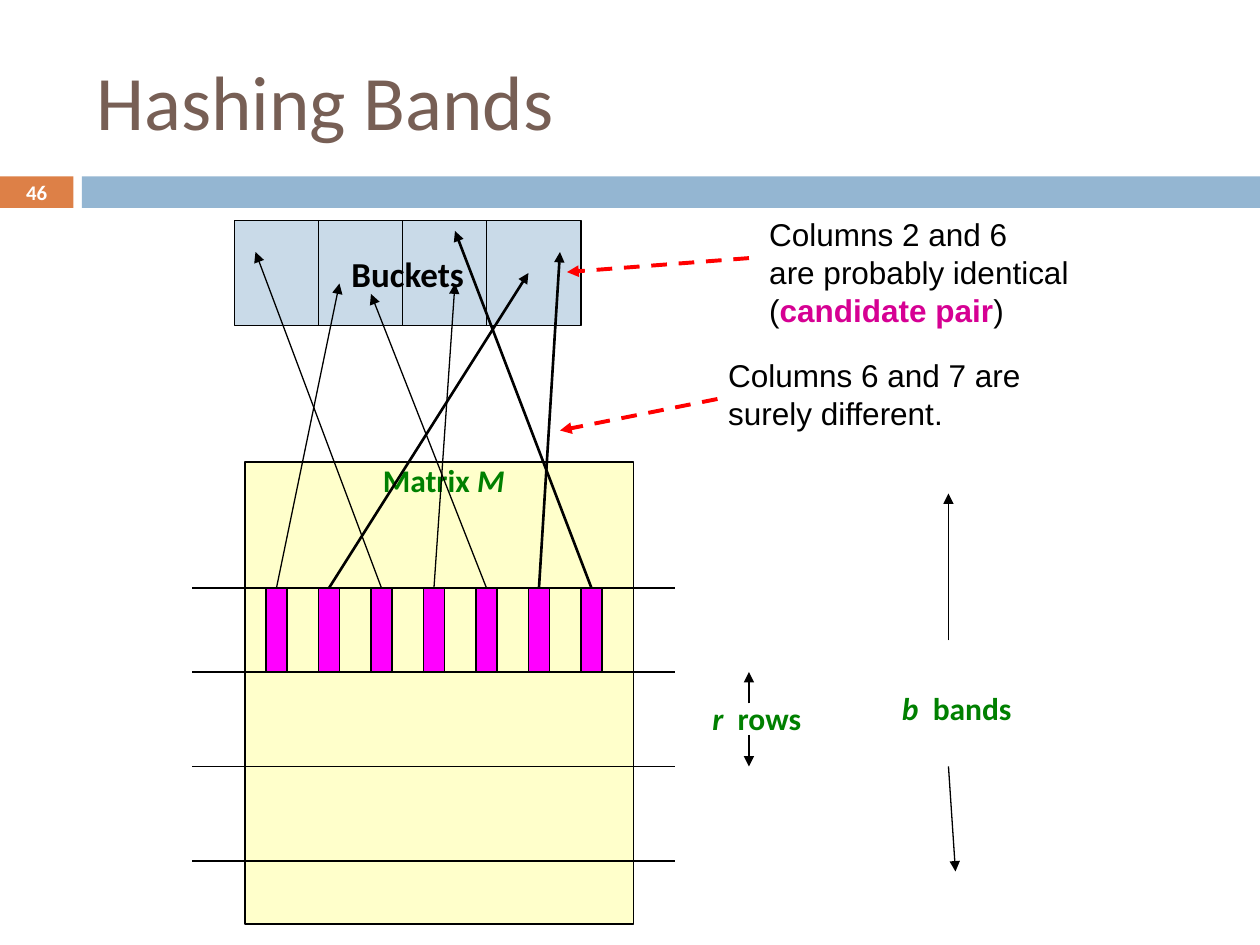
from lxml.etree import SubElement
from pptx import Presentation
from pptx.dml.color import RGBColor
from pptx.enum.dml import MSO_LINE
from pptx.enum.shapes import MSO_CONNECTOR, MSO_SHAPE
from pptx.enum.text import MSO_ANCHOR as Anchor, PP_ALIGN as Align
from pptx.oxml.ns import qn
from pptx.util import Pt

BLACK = RGBColor(0x00, 0x00, 0x00)
WHITE = RGBColor(0xFF, 0xFF, 0xFF)
BROWN = RGBColor(0x77, 0x5F, 0x55)
ORANGE = RGBColor(0xDD, 0x80, 0x47)
BLUE = RGBColor(0x94, 0xB6, 0xD2)
YELLOW = RGBColor(0xFF, 0xFF, 0x99)
MAGENTA = RGBColor(0xFF, 0x00, 0xFF)
PINK = RGBColor(0xD6, 0x00, 0x93)
GREEN = RGBColor(0x00, 0x80, 0x00)
RED = RGBColor(0xFF, 0x00, 0x00)


def write(paragraph, text, size=18, name="Calibri", color=BLACK, bold=False, italic=False):
    run = paragraph.add_run()
    run.text = text
    font = run.font
    font.size, font.name, font.bold, font.italic = Pt(size), name, bold, italic
    font.color.rgb = color


class SlideBuilder:
    thin, thick, callout_width = 0.75, 1.5, 2.25

    def __init__(self, slide):
        self.slide = slide

    def title(self, text, left, top, width, height):
        shape = self.slide.shapes.title
        shape.left, shape.top, shape.width, shape.height = map(Pt, (left, top, width, height))
        frame = shape.text_frame
        frame.vertical_anchor = Anchor.MIDDLE
        frame.paragraphs[0].alignment = Align.LEFT
        write(frame.paragraphs[0], text, size=44, color=BROWN)

    def rectangle(self, left, top, width, height, fill, outlined=True, opacity=None):
        shape = self.slide.shapes.add_shape(
            MSO_SHAPE.RECTANGLE, Pt(left), Pt(top), Pt(width), Pt(height))
        shape.shadow.inherit = False
        shape.fill.solid()
        shape.fill.fore_color.rgb = fill
        if opacity:
            color = shape.element.spPr.find(qn("a:solidFill"))[0]
            SubElement(color, qn("a:alpha"), val=str(opacity * 1000))
        if outlined:
            shape.line.color.rgb = BLACK
            shape.line.width = Pt(self.thin)
        else:
            shape.line.fill.background()
        return shape

    def text(self, left, top, width, height, lines, align=Align.CENTER,
             anchor=Anchor.TOP, spacing=None):
        box = self.slide.shapes.add_textbox(Pt(left), Pt(top), Pt(width), Pt(height))
        frame = box.text_frame
        frame.word_wrap = False
        frame.vertical_anchor = anchor
        for index, runs in enumerate(lines):
            paragraph = frame.add_paragraph() if index else frame.paragraphs[0]
            paragraph.alignment = align
            if spacing:
                paragraph.line_spacing = Pt(spacing)
            for text, style in runs:
                write(paragraph, text, **style)

    def line(self, start, end, width=thin, color=BLACK, arrow=False, dashed=False, source=None):
        connector = self.slide.shapes.add_connector(
            MSO_CONNECTOR.STRAIGHT, *map(Pt, start + end))
        connector.line.color.rgb = color
        connector.line.width = Pt(width)
        if dashed:
            connector.line.dash_style = MSO_LINE.DASH
        properties = connector.element.spPr
        if arrow:
            SubElement(properties.find(qn("a:ln")), qn("a:tailEnd"), type="triangle")
        SubElement(properties, qn("a:effectLst"))
        if source is not None:
            connector.begin_connect(source, 0)

    def callout(self, box, lines, start, end):
        self.text(*box, lines, align=Align.LEFT, spacing=21.6)
        self.line(start, end, self.callout_width, RED, arrow=True, dashed=True)


def main():
    presentation = Presentation()
    presentation.slide_width, presentation.slide_height = Pt(720), Pt(540)
    builder = SlideBuilder(presentation.slides.add_slide(presentation.slide_layouts[5]))
    label = {"color": GREEN, "bold": True}
    variable = {**label, "italic": True}
    plain = {"name": "Arial"}

    builder.title("Hashing Bands", 48, 18, 642, 78)
    builder.rectangle(0, 100.8, 42, 18, ORANGE, outlined=False)
    builder.rectangle(46.8, 100.8, 673.2, 18, BLUE, outlined=False)
    builder.text(0, 100, 42, 19.5, [[("46", {"size": 11.9, "color": WHITE, "bold": True})]],
                 anchor=Anchor.MIDDLE)

    builder.rectangle(140, 264, 222, 264, YELLOW, opacity=50)
    builder.text(211, 260, 85, 29, [[("Matrix ", label), ("M", variable)]])
    builder.text(399.5, 396, 66, 29, [[("r ", variable), (" rows", label)]])
    builder.text(507.5, 390, 78.5, 29, [[("b ", variable), (" bands", label)]])

    band_top = 336
    for y in (band_top, 384, 438, 492):
        builder.line((110, y), (386, y))
    for start, end in (((428, 402), (428, 384)), ((428, 420), (428, 438)),
                       ((542, 366), (542, 282)), ((542, 438), (546, 498))):
        builder.line(start, end, arrow=True)

    columns = [builder.rectangle(152 + 30 * index, band_top, 12, 48, MAGENTA)
               for index in range(7)]

    buckets = builder.rectangle(134, 126, 198, 60, BLUE, opacity=50)
    frame = buckets.text_frame
    frame.word_wrap = False
    frame.vertical_anchor = Anchor.MIDDLE
    frame.paragraphs[0].alignment = Align.CENTER
    write(frame.paragraphs[0], "Buckets", size=20, bold=True)
    for x in (182, 230, 278):
        builder.line((x, 126), (x, 186))

    targets = ((194, 162), (302, 156), (146, 144), (260, 162),
               (212, 168), (320, 144), (260, 132))
    highlighted = (2, 6, 7)
    for number, (column, target) in enumerate(zip(columns, targets), 1):
        width = builder.thick if number in highlighted else builder.thin
        builder.line((128 + 30 * number, band_top), target, width, arrow=True, source=column)

    builder.callout((432.5, 119.5, 191.5, 72),
                    [[("Columns 2 and 6", plain)],
                     [("are probably identical", plain)],
                     [("(", plain),
                      ("candidate pair", {**plain, "color": PINK, "bold": True}),
                      (")", plain)]],
                    (428, 147.5), (324, 155.5))
    builder.callout((409, 200, 183, 51),
                    [[("Columns 6 and 7 are", plain)], [("surely different.", plain)]],
                    (410, 228), (320, 246))

    presentation.save("out.pptx")


if __name__ == "__main__":
    main()
